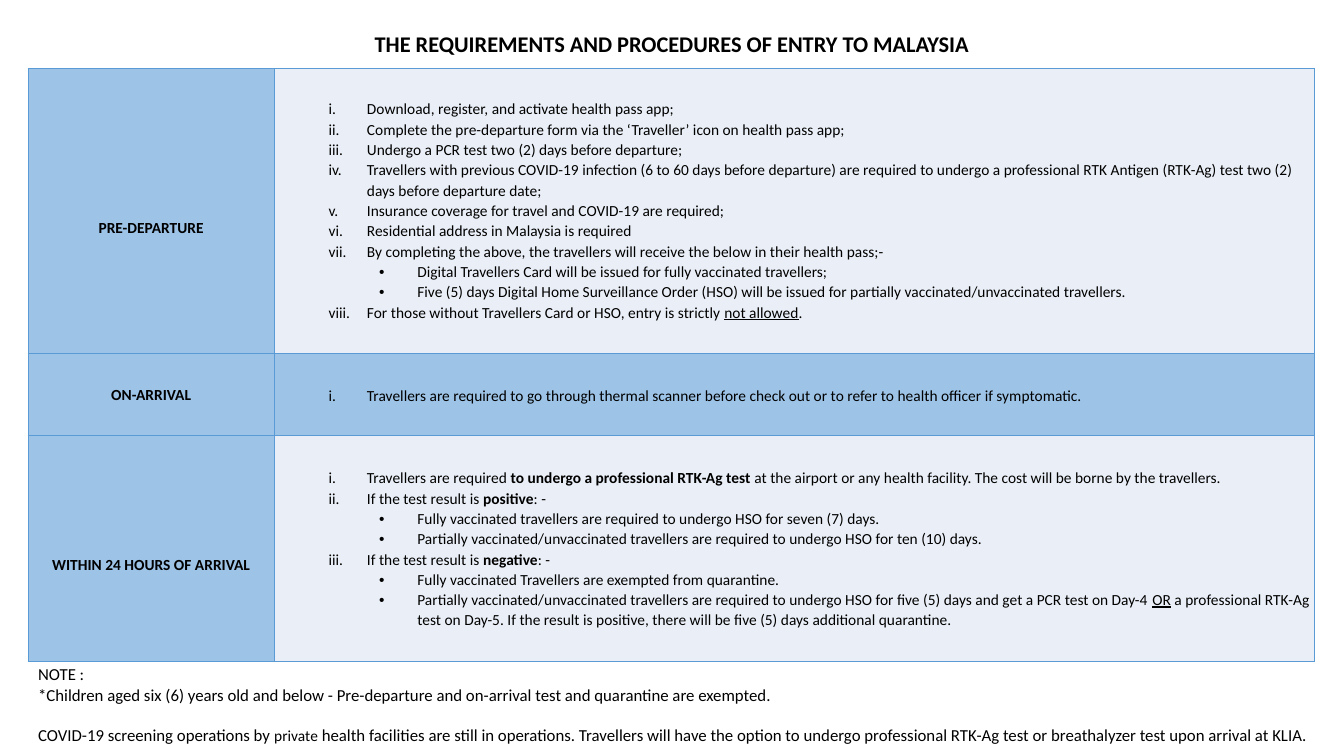
from lxml import etree
from pptx import Presentation
from pptx.dml.color import RGBColor
from pptx.enum.text import MSO_ANCHOR, MSO_AUTO_SIZE, PP_ALIGN
from pptx.oxml.ns import qn
from pptx.util import Inches, Pt

CENTER, LEFT = PP_ALIGN.CENTER, PP_ALIGN.LEFT
MIDDLE, TOP = MSO_ANCHOR.MIDDLE, MSO_ANCHOR.TOP
NO_FIT = MSO_AUTO_SIZE.NONE
FONT = "Calibri"
BLACK, BORDER, BLUE, PALE = "000000", "5B9BD5", "9DC3E6", "EAEFF7"
STEP, DETAIL = 1, 2  # list levels
LIST_INDENT = {STEP: 0.88, DETAIL: 1.38}
HANGING = 0.38

TITLE = "THE REQUIREMENTS AND PROCEDURES OF ENTRY TO MALAYSIA"

# Each line is a level and its runs; a run is plain text or (text, style)
PRE_DEPARTURE = [
    (STEP, ["Download, register, and activate health pass app;"]),
    (STEP, ["Complete the pre-departure form via the ‘Traveller’ icon on health pass app;"]),
    (STEP, ["Undergo a PCR test two (2) days before departure;"]),
    (STEP, ["Travellers with previous COVID-19 infection (6 to 60 days before departure) are "
            "required to undergo a professional RTK Antigen (RTK-Ag) test two (2) days before "
            "departure date;"]),
    (STEP, ["Insurance coverage for travel and COVID-19 are required;"]),
    (STEP, ["Residential address in Malaysia is required"]),
    (STEP, ["By completing the above, the travellers will receive the below in their "
            "health pass;-"]),
    (DETAIL, ["Digital Travellers Card will be issued for fully vaccinated travellers;"]),
    (DETAIL, ["Five (5) days Digital Home Surveillance Order (HSO) will be issued for "
              "partially vaccinated/unvaccinated travellers."]),
    (STEP, ["For those without Travellers Card or HSO, entry is strictly ",
            ("not allowed", {"underline": True}), "."]),
]
ON_ARRIVAL = [
    (STEP, ["Travellers are required to go through thermal scanner before check out or to "
            "refer to health officer if symptomatic."]),
]
WITHIN_24_HOURS = [
    (STEP, ["Travellers are required ",
            ("to undergo a professional RTK-Ag test ", {"bold": True}),
            "at the airport or any health facility. The cost will be borne by the travellers."]),
    (STEP, ["If the test result is ", ("positive", {"bold": True}), ": -"]),
    (DETAIL, ["Fully vaccinated travellers are required to undergo HSO for seven (7) days."]),
    (DETAIL, ["Partially vaccinated/unvaccinated travellers are required to undergo HSO for "
              "ten (10) days."]),
    (STEP, ["If the test result is ", ("negative", {"bold": True}), ": -"]),
    (DETAIL, ["Fully vaccinated Travellers are exempted from quarantine."]),
    (DETAIL, ["Partially vaccinated/unvaccinated travellers are required to undergo HSO for "
              "five (5) days and get a PCR test on Day-4 ", ("OR", {"underline": True}),
              " a professional RTK-Ag test on Day-5. If the result is positive, there will be "
              "five (5) days additional quarantine."]),
]
# Stage, its lines, row height, label top inset, list top inset, list fill
STAGES = [
    ("PRE-DEPARTURE", PRE_DEPARTURE, 2.83, 0.33, 0.3, PALE),
    ("ON-ARRIVAL", ON_ARRIVAL, 0.81, 0, 0.31, BLUE),
    ("WITHIN 24 HOURS OF ARRIVAL", WITHIN_24_HOURS, 2.24, 0.33, 0.32, PALE),
]
# Space before in points, then runs
NOTES = [
    (0, ["NOTE :"]),
    (0, ["*Children aged six (6) years old and below - Pre-departure and on-arrival test and "
         "quarantine are exempted."]),
    (14.6, ["COVID-19 screening operations by ", ("private", {"size": 11}),
            " health facilities are still in operations. Travellers will have the option to "
            "undergo professional RTK-Ag test or breathalyzer test upon arrival at KLIA."]),
]


def color(value):
    return RGBColor.from_string(value)


def add_runs(paragraph, runs, size, bold=False):
    for item in runs:
        text, style = (item, {}) if isinstance(item, str) else item
        run = paragraph.add_run()
        run.text = text
        font = run.font
        font.name = FONT
        font.size = Pt(style.get("size", size))
        font.bold = style.get("bold", bold)
        font.underline = style.get("underline", False)
        font.color.rgb = color(BLACK)


def paragraphs(frame, count):
    return [frame.paragraphs[0]] + [frame.add_paragraph() for _ in range(count - 1)]


def set_marker(paragraph, level):
    paragraph.level = level
    props = paragraph._p.get_or_add_pPr()
    props.set("marL", str(Inches(LIST_INDENT[level])))
    props.set("indent", str(-Inches(HANGING)))
    if level == STEP:
        etree.SubElement(props, qn("a:buFont"), typeface="+mj-lt")
        etree.SubElement(props, qn("a:buAutoNum"), type="romanLcPeriod")
    else:
        etree.SubElement(props, qn("a:buFont"), typeface="Arial")
        etree.SubElement(props, qn("a:buChar"), char="•")


def style_cell(cell, fill, anchor, top):
    props = cell._tc.get_or_add_tcPr()
    for side in ("lnL", "lnR", "lnT", "lnB"):
        edge = etree.SubElement(props, qn(f"a:{side}"), w=str(Pt(1)))
        solid = etree.SubElement(edge, qn("a:solidFill"))
        etree.SubElement(solid, qn("a:srgbClr"), val=BORDER)
    cell.fill.solid()
    cell.fill.fore_color.rgb = color(fill)
    cell.vertical_anchor = anchor
    cell.margin_left = cell.margin_right = Inches(0.04)
    cell.margin_top, cell.margin_bottom = Inches(top), 0


def place_title(slide, left, top, width, height):
    title = slide.shapes.title
    title.left, title.top = Inches(left), Inches(top)
    title.width, title.height = Inches(width), Inches(height)
    frame = title.text_frame
    frame.auto_size = NO_FIT
    frame.vertical_anchor = MIDDLE
    heading = frame.paragraphs[0]
    heading.alignment = CENTER
    add_runs(heading, [TITLE], 16, bold=True)


def add_stages(slide, left, top, width, label_width):
    height = sum(stage[2] for stage in STAGES)
    table = slide.shapes.add_table(len(STAGES), 2, Inches(left), Inches(top),
                                   Inches(width), Inches(height)).table
    table.first_row = table.horz_banding = False
    table.columns[0].width = Inches(label_width)
    table.columns[1].width = Inches(width - label_width)
    for row, (stage, lines, row_height, label_top, list_top, fill) in enumerate(STAGES):
        table.rows[row].height = Inches(row_height)
        # Stage label
        label = table.cell(row, 0)
        style_cell(label, BLUE, MIDDLE, label_top)
        name = label.text_frame.paragraphs[0]
        name.alignment = CENTER
        name.line_spacing = 1.07
        add_runs(name, [stage], 11, bold=True)
        # Numbered requirements
        requirements = table.cell(row, 1)
        style_cell(requirements, fill, TOP, list_top)
        slots = paragraphs(requirements.text_frame, len(lines))
        for line, (level, runs) in zip(slots, lines):
            line.alignment = LEFT
            line.line_spacing = 1.07
            set_marker(line, level)
            add_runs(line, runs, 11)


def add_notes(slide, left, top, width, height):
    frame = slide.shapes.add_textbox(Inches(left), Inches(top), Inches(width),
                                     Inches(height)).text_frame
    frame.word_wrap = True
    for note, (gap, runs) in zip(paragraphs(frame, len(NOTES)), NOTES):
        note.space_before = Pt(gap)
        add_runs(note, runs, 12)


def main():
    deck = Presentation()
    deck.slide_width, deck.slide_height = Inches(13.33), Inches(7.5)
    slide = deck.slides.add_slide(deck.slide_layouts[5])
    add_stages(slide, 0.28, 0.68, 12.76, 2.44)
    add_notes(slide, 0.28, 6.54, 12.84, 0.91)
    place_title(slide, 1.01, 0.25, 11.31, 0.37)
    deck.save("out.pptx")


if __name__ == "__main__":
    main()
